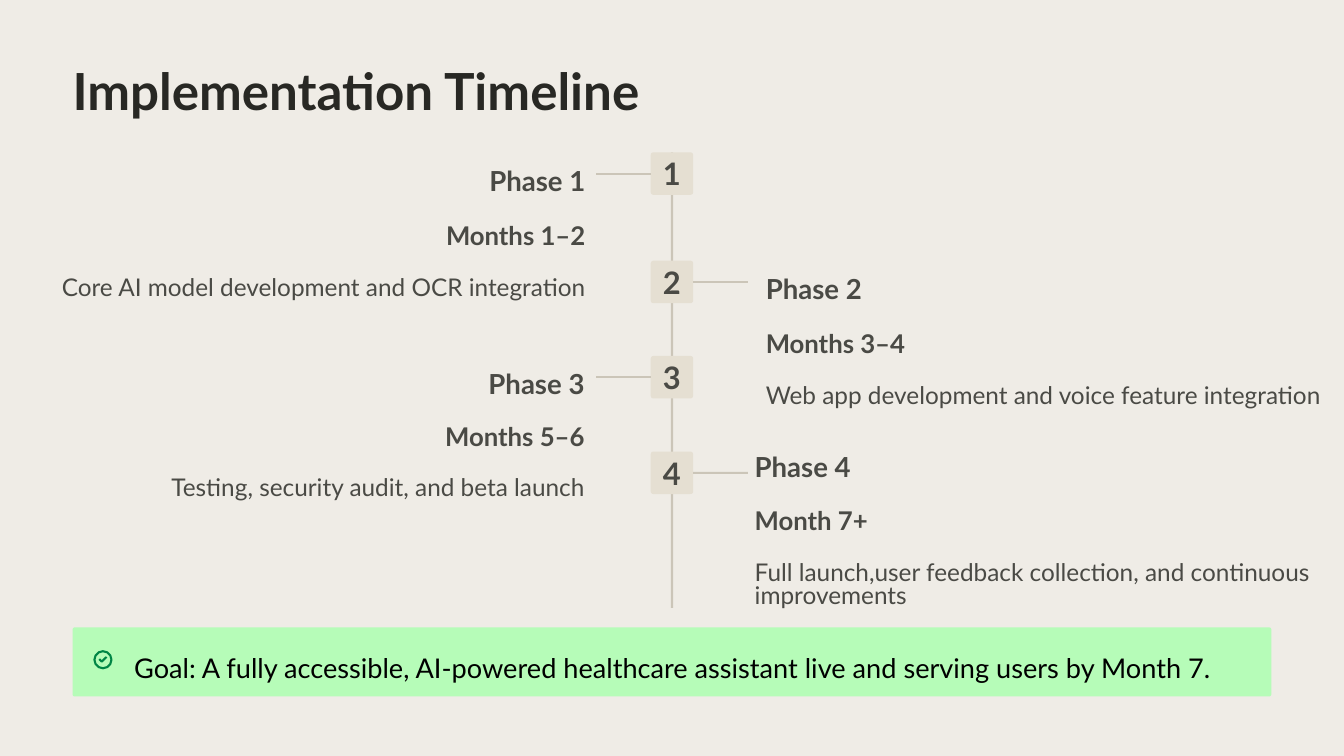
from dataclasses import dataclass

from lxml.etree import SubElement
from pptx import Presentation
from pptx.dml.color import RGBColor
from pptx.enum.shapes import MSO_CONNECTOR as Link, MSO_SHAPE as Shape
from pptx.enum.text import MSO_ANCHOR as Anchor, PP_ALIGN as Align
from pptx.oxml.ns import qn
from pptx.util import Cm, Pt


@dataclass(frozen=True)
class Theme:
    font: str = "Lato"
    back: str = "EFECE6"
    title: str = "282824"
    text: str = "4A4A45"
    node: str = "E5DFD2"
    line: str = "CBC5B8"
    bar: str = "B6FCB8"
    icon: str = "008545"
    goal: str = "000000"
    title_size: float = 36.5
    node_size: float = 22.1
    phase_size: float = 19.7
    month_size: float = 18.4
    task_size: float = 17.4
    goal_size: float = 19.4
    rule: float = 1.5


THEME = Theme()
LEFT, RIGHT = 1, 3  # sides of a node, as connection sites


@dataclass(frozen=True)
class Phase:
    name: str
    months: str
    task: str
    side: int
    drop: float  # node top, from the top of the timeline
    box: tuple  # text box, from the top left of the timeline
    pitch: float = 1


PHASES = [
    Phase("Phase 1", "Months 1–2", "Core AI model development and OCR integration",
          LEFT, 0, (0.48, -0.31, 13.61, 3.91)),
    Phase("Phase 2", "Months 3–4", "Web app development and voice feature integration",
          RIGHT, 2.73, (18.64, 2.41, 14.58, 3.91)),
    Phase("Phase 3", "Months 5–6", "Testing, security audit, and beta launch",
          LEFT, 5.13, (0, 4.85, 14.07, 3.81), 0.97),
    Phase("Phase 4", "Month 7+",
          "Full launch,user feedback collection, and continuous improvements",
          RIGHT, 7.54, (18.36, 6.88, 14.17, 4.83)),
]


def rgb(color):
    return RGBColor.from_string(color)


def style(para, size, color, bold=False, lead=None, align=Align.LEFT):
    para.alignment = align
    if lead:
        para.line_spacing = Pt(lead)
    font = para.font
    font.name, font.size, font.bold = THEME.font, Pt(size), bold
    font.color.rgb = rgb(color)


def frame(shape):
    """Clear the margins of a shape's text and let it wrap."""
    text = shape.text_frame
    text.margin_left = text.margin_right = text.margin_top = text.margin_bottom = 0
    text.word_wrap = True
    return text


def label(slide, box, words, size, color, lead, bold=False):
    text = frame(slide.shapes.add_textbox(*map(Cm, box)))
    text.text = words
    style(text.paragraphs[0], size, color, bold, lead)


def block(slide, box, fill, corner):
    shape = slide.shapes.add_shape(Shape.ROUNDED_RECTANGLE, *map(Cm, box))
    shape.adjustments[0] = corner
    shape.shadow.inherit = False
    shape.fill.solid()
    shape.fill.fore_color.rgb = rgb(fill)
    shape.line.fill.background()
    return shape


def stroke(shape, color):
    shape.line.color.rgb = rgb(color)
    shape.line.width = Pt(THEME.rule)


def rule(slide, x1, y1, x2, y2):
    line = slide.shapes.add_connector(Link.STRAIGHT, *map(Cm, (x1, y1, x2, y2)))
    stroke(line, THEME.line)
    SubElement(line._element.spPr, qn("a:effectLst"))
    return line


def marker(slide, box, number):
    node = block(slide, box, THEME.node, 0.06)
    text = frame(node)
    text.vertical_anchor = Anchor.MIDDLE
    text.text = str(number)
    style(text.paragraphs[0], THEME.node_size, THEME.text, True, align=Align.CENTER)
    return node


def notes(slide, box, phase):
    """Place the name, months and task of a phase."""
    text = frame(slide.shapes.add_textbox(*map(Cm, box)))
    align = Align.RIGHT if phase.side == LEFT else Align.LEFT
    rows = [(phase.name, THEME.phase_size, True, 40.9 * phase.pitch),
            (phase.months, THEME.month_size, True, 38.1 * phase.pitch),
            (phase.task, THEME.task_size, False, 16.6)]
    text.text = "\n".join(row[0] for row in rows)
    for para, (_, size, bold, lead) in zip(text.paragraphs, rows):
        style(para, size, THEME.text, bold, lead, align)
    text.paragraphs[-1].space_before = Pt(36 * phase.pitch - 16.6)


def timeline(slide, x, y, wide, high):
    size, arm = 1.07, 1.38
    mid = x + wide / 2
    spine = rule(slide, mid, y, mid, y + high)
    for number, phase in enumerate(PHASES, 1):
        top = y + phase.drop
        node = marker(slide, (mid - size / 2, top, size, size), number)
        if number == 1:
            spine.begin_connect(node, 0)
        sign = -1 if phase.side == LEFT else 1
        edge, level = mid + sign * size / 2, top + size / 2
        rule(slide, edge, level, edge + sign * arm, level).begin_connect(node, phase.side)
        left, drop, *area = phase.box
        notes(slide, (x + left, y + drop, *area), phase)


def tick(slide, x, y, size):
    """Draw a check mark in a ring."""
    ring = slide.shapes.add_shape(Shape.OVAL, *map(Cm, (x, y, size, size)))
    ring.shadow.inherit = False
    spots = [(Cm(x + size * a), Cm(y + size * b))
             for a, b in ((0.28, 0.47), (0.43, 0.61), (0.71, 0.34))]
    pen = slide.shapes.build_freeform(*spots[0])
    pen.add_line_segments(spots[1:], close=False)
    check = pen.convert_to_shape()
    check.shadow.inherit = False
    for shape in (ring, check):
        shape.fill.background()
        stroke(shape, THEME.icon)


def goal(slide, x, y, wide, high):
    block(slide, (x, y, wide, high), THEME.bar, 0.03)
    tick(slide, x + 0.55, y + 0.6, 0.43)
    label(slide, (x + 1.55, y + 0.46, wide - 2.3, 0.91),
          "Goal: A fully accessible, AI-powered healthcare assistant live "
          "and serving users by Month 7.", THEME.goal_size, THEME.goal, 27.1)


def main():
    deck = Presentation()
    deck.slide_width, deck.slide_height = Cm(33.87), Cm(19.05)
    slide = deck.slides.add_slide(deck.slide_layouts[6])
    back = slide.background.fill
    back.solid()
    back.fore_color.rgb = rgb(THEME.back)
    label(slide, (1.83, 1.24, 15, 1.75), "Implementation Timeline",
          THEME.title_size, THEME.title, 51.1, True)
    timeline(slide, 0.66, 3.84, 32.55, 11.48)
    goal(slide, 1.83, 15.81, 30.21, 1.74)
    deck.save("out.pptx")


if __name__ == "__main__":
    main()
